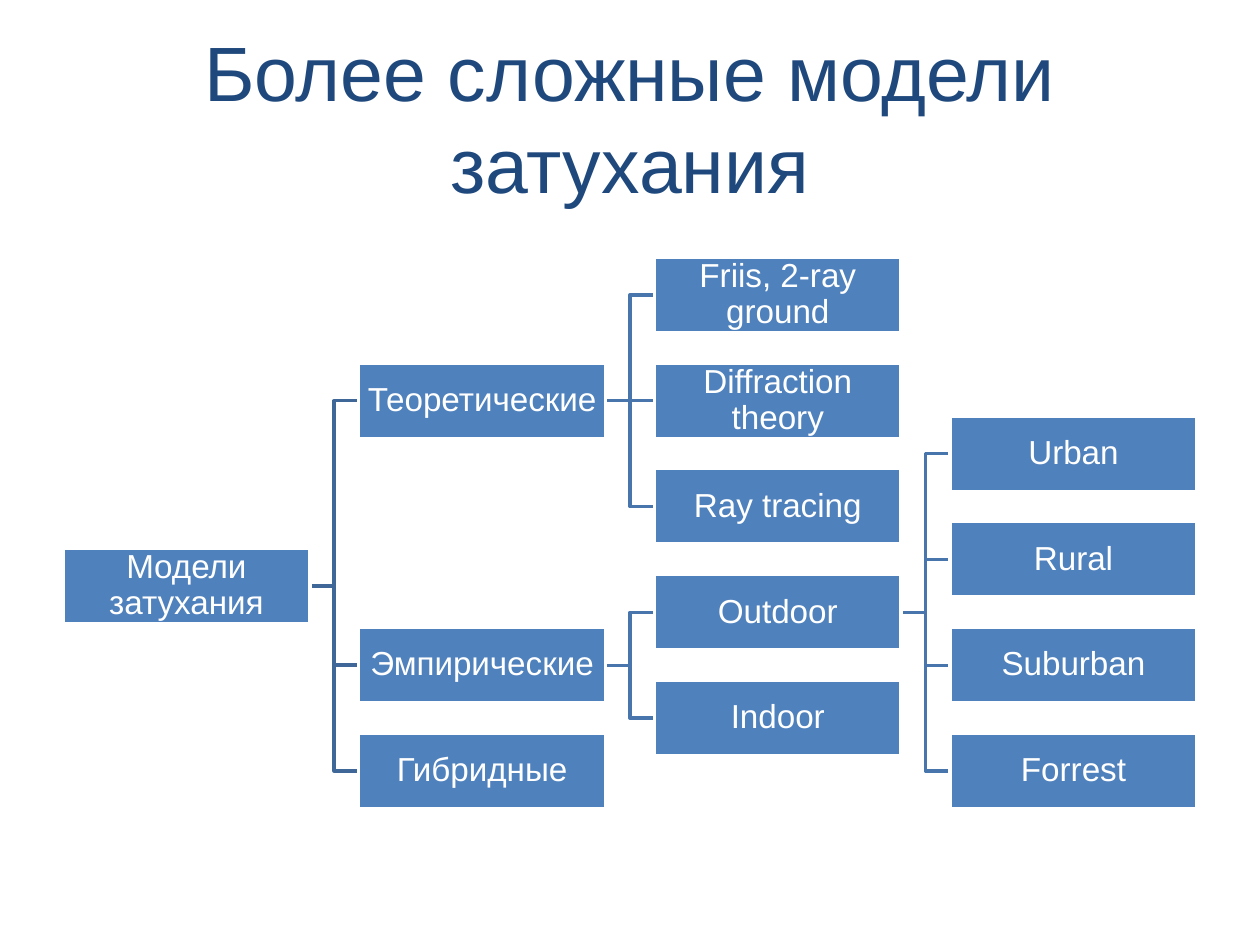
from pptx import Presentation
from pptx.util import Inches, Pt
from pptx.dml.color import RGBColor
from pptx.enum import shapes as sh, text as tx
from pptx.oxml.ns import qn
from lxml import etree

# Content: name -> (column, row, parent)
TITLE = "Более сложные модели затухания"
NODES = {
    "Модели затухания": (0, 2.75, None),
    "Теоретические": (1, 1, "Модели затухания"),
    "Friis, 2-ray ground": (2, 0, "Теоретические"),
    "Diffraction theory": (2, 1, "Теоретические"),
    "Ray tracing": (2, 2, "Теоретические"),
    "Эмпирические": (1, 3.5, "Модели затухания"),
    "Outdoor": (2, 3, "Эмпирические"),
    "Urban": (3, 1.5, "Outdoor"),
    "Rural": (3, 2.5, "Outdoor"),
    "Suburban": (3, 3.5, "Outdoor"),
    "Forrest": (3, 4.5, "Outdoor"),
    "Indoor": (2, 4, "Эмпирические"),
    "Гибридные": (1, 4.5, "Модели затухания"),
}
COLORS = {"title": "1F497D", "box": "4F81BD", "white": "FFFFFF",
          "main": "3F6797", "sub": "4875AC"}

# Grid
LEFT, TOP, WIDE, HIGH = 0.5, 2.04, 1.96, 0.6
COL = (9 - WIDE) / 3
ROW = 0.84


def rgb(key):
    return RGBColor.from_string(COLORS[key])


def place(name):
    col, row, _ = NODES[name]
    return LEFT + col * COL, TOP + row * ROW


def write(frame, words, size, color, pad=None):
    frame.text = words
    form = {"word_wrap": True, "vertical_anchor": tx.MSO_ANCHOR.MIDDLE}
    if pad is not None:
        form.update({"margin_" + side: Inches(pad)
                     for side in ("left", "top", "right", "bottom")})
    for key, val in form.items():
        setattr(frame, key, val)
    para = frame.paragraphs[0]
    para.alignment = tx.PP_ALIGN.CENTER
    font = para.runs[0].font
    for key, val in {"name": "Arial", "size": Pt(size)}.items():
        setattr(font, key, val)
    font.color.rgb = rgb(color)
    return para


def stroke(line, color):
    line.color.rgb = rgb(color)
    line.width = Pt(2)


def link(slide, name):
    """Draw the line from a parent to its child; return it if straight."""
    parent = NODES[name][2]
    (px, py), (x, y) = place(parent), place(name)
    start, end = px + WIDE, x
    y1, y2 = py + HIGH / 2, y + HIGH / 2
    color = "sub" if NODES[parent][2] else "main"
    if y1 == y2:
        line = slide.shapes.add_connector(
            sh.MSO_CONNECTOR.STRAIGHT, *map(Inches, (start, y1, end, y2)))
        etree.SubElement(line._element.spPr, qn("a:effectLst"))
        stroke(line.line, color)
        return line
    mid = (start + end) / 2
    path = slide.shapes.build_freeform(Inches(start), Inches(y1))
    path.add_line_segments([(Inches(a), Inches(b)) for a, b in
                            ((mid, y1), (mid, y2), (end, y2))], close=False)
    bend = path.convert_to_shape()
    bend.shadow.inherit = False
    bend.fill.background()
    stroke(bend.line, color)
    return None


def box(slide, name):
    x, y = place(name)
    rect = slide.shapes.add_shape(
        sh.MSO_SHAPE.RECTANGLE, *map(Inches, (x, y, WIDE, HIGH)))
    rect.shadow.inherit = False
    rect.fill.solid()
    rect.fill.fore_color.rgb = rgb("box")
    stroke(rect.line, "white")
    write(rect.text_frame, name, 19, "white", 0.01).line_spacing = 0.9
    return rect


def main():
    deck = Presentation()
    deck.slide_width, deck.slide_height = Inches(10), Inches(7.5)
    slide = deck.slides.add_slide(deck.slide_layouts[5])

    # Title
    title = slide.shapes.title
    spot = {"left": 0.5, "top": 0.3, "width": 9, "height": 1.25}
    for key, val in spot.items():
        setattr(title, key, Inches(val))
    write(title.text_frame, TITLE, 44, "title")

    # Links lie behind the boxes, whose white edges trim them
    links = {name: link(slide, name) for name in NODES if NODES[name][2]}
    boxes = {name: box(slide, name) for name in NODES}

    # Join the straight links to their boxes
    for name, line in links.items():
        if line is not None:
            line.begin_connect(boxes[NODES[name][2]], 3)
            line.end_connect(boxes[name], 1)

    deck.save("out.pptx")


if __name__ == "__main__":
    main()
